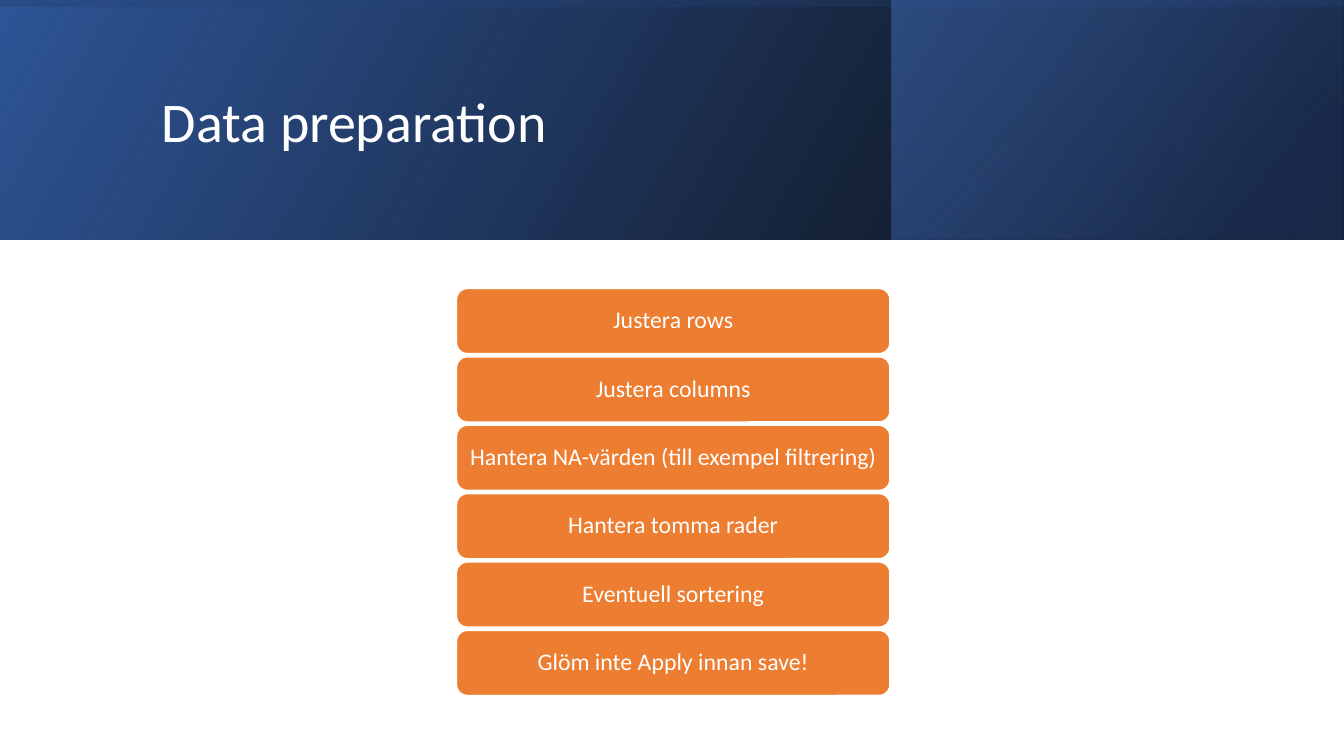
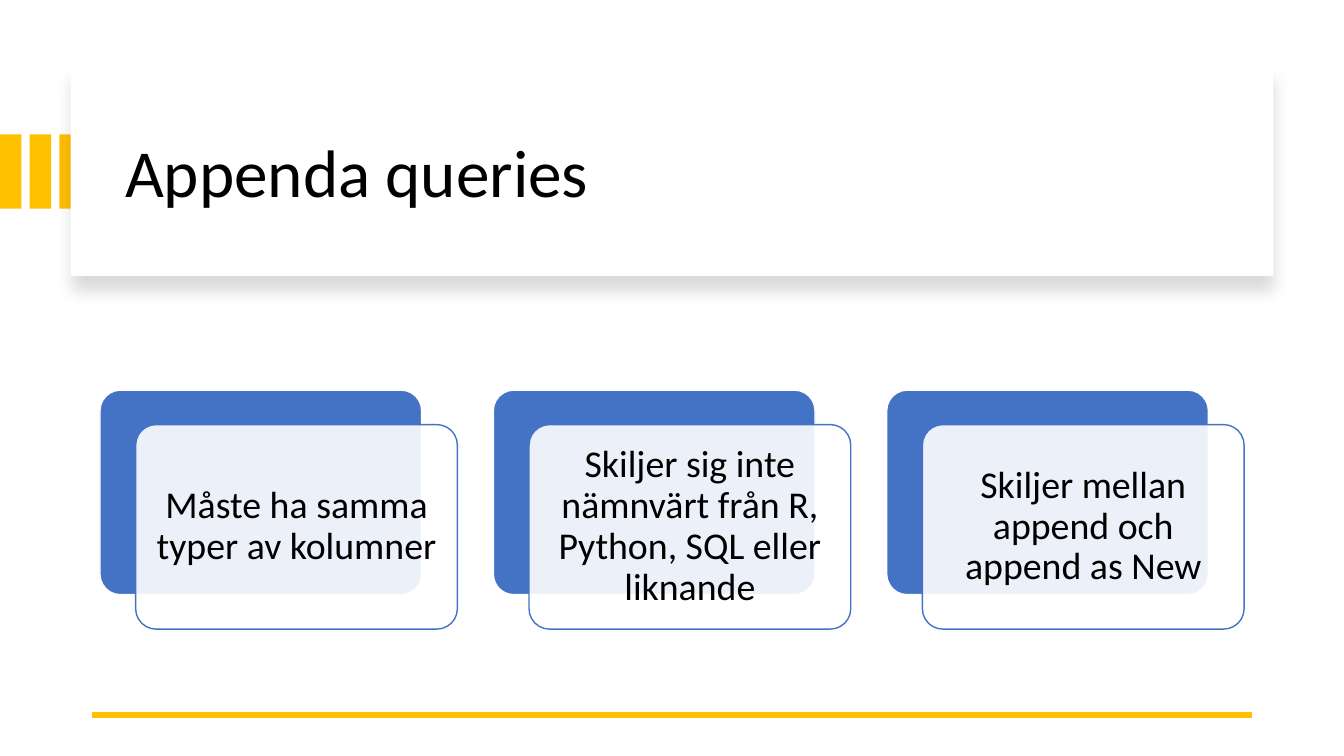
from dataclasses import dataclass

from lxml.etree import SubElement
from pptx import Presentation
from pptx.dml.color import RGBColor
from pptx.enum.shapes import MSO_CONNECTOR as Connector
from pptx.enum.shapes import MSO_SHAPE as Shape
from pptx.enum.text import MSO_ANCHOR as Anchor
from pptx.enum.text import PP_ALIGN as Align
from pptx.oxml.ns import qn
from pptx.util import Inches, Pt

COLUMNS, ROWS = 160, 90
BLANK_LAYOUT = 6


@dataclass(frozen=True)
class Theme:
    font: str = "Calibri"
    white: str = "FFFFFF"
    black: str = "000000"
    navy: str = "203864"
    royal: str = "2F5597"
    blue: str = "4472C4"
    orange: str = "ED7D31"
    gold: str = "FFC000"
    band_title: int = 40
    card_title: int = 48
    step: int = 17
    note: int = 27
    outline: float = 1
    rule: float = 4.5


class Page:
    def __init__(self, deck, theme):
        self.theme = theme
        self.slide = deck.slides.add_slide(deck.slide_layouts[BLANK_LAYOUT])
        self.cell_width = deck.slide_width / COLUMNS
        self.cell_height = deck.slide_height / ROWS

    def place(self, column, row, columns, rows):
        return (
            round(column * self.cell_width),
            round(row * self.cell_height),
            round(columns * self.cell_width),
            round(rows * self.cell_height),
        )

    def panel(self, area, color=None, kind=Shape.RECTANGLE, outline=None, opacity=100, corner=None):
        box = self.slide.shapes.add_shape(kind, *self.place(*area))
        box.shadow.inherit = False
        if corner is not None:
            box.adjustments[0] = corner
        if color:
            box.fill.solid()
            box.fill.fore_color.rgb = RGBColor.from_string(color)
            self.fade(box, [opacity])
        if outline:
            box.line.color.rgb = RGBColor.from_string(outline)
            box.line.width = Pt(self.theme.outline)
        else:
            box.line.fill.background()
        return box

    def fade(self, box, opacities):
        colors = box._element.spPr.iter(qn("a:srgbClr"))
        for color, opacity in zip(colors, opacities):
            if opacity < 100:
                SubElement(color, qn("a:alpha")).set("val", str(opacity * 1000))

    def gradient(self, area, angle, stops, rotation=0):
        box = self.panel(area)
        box.rotation = rotation
        box._element.spPr.find(qn("a:xfrm")).set("flipH", "1")
        box.fill.gradient()
        box.fill.gradient_angle = angle
        for stop, (position, color, _) in zip(box.fill.gradient_stops, stops):
            stop.position = position / 100
            stop.color.rgb = RGBColor.from_string(color)
        self.fade(box, [opacity for _, _, opacity in stops])

    def drop_shadow(self, box, blur, distance, opacity):
        effects = box._element.spPr.find(qn("a:effectLst"))
        shadow = SubElement(effects, qn("a:outerShdw"))
        shadow.set("blurRad", str(Pt(blur)))
        shadow.set("dist", str(Pt(distance)))
        shadow.set("dir", "5400000")
        shadow.set("algn", "t")
        shadow.set("rotWithShape", "0")
        color = SubElement(shadow, qn("a:srgbClr"))
        color.set("val", self.theme.black)
        SubElement(color, qn("a:alpha")).set("val", str(opacity * 1000))

    def label(self, box, text, size, color, align=Align.LEFT, insets=(0.1, 0.05)):
        frame = box.text_frame
        frame.word_wrap = True
        frame.vertical_anchor = Anchor.MIDDLE
        frame.margin_left = frame.margin_right = Inches(insets[0])
        frame.margin_top = frame.margin_bottom = Inches(insets[1])
        frame.text = text
        para = frame.paragraphs[0]
        para.alignment = align
        para.line_spacing = 0.9
        for span in para.runs:
            span.font.name = self.theme.font
            span.font.size = Pt(size)
            span.font.color.rgb = RGBColor.from_string(color)

    def title(self, area, text, size, color):
        box = self.slide.shapes.add_textbox(*self.place(*area))
        self.label(box, text, size, color)

    def step(self, area, text):
        theme = self.theme
        box = self.panel(area, theme.orange, Shape.ROUNDED_RECTANGLE, theme.white)
        self.label(box, text, theme.step, theme.white, Align.CENTER, (0.07, 0.04))

    def note(self, column, row, columns, rows, text):
        theme = self.theme
        rounded = Shape.ROUNDED_RECTANGLE
        self.panel((column, row, columns, rows), theme.blue, rounded, theme.white, corner=0.1)
        front = (column + 4.25, row + 4.1, columns, rows)
        box = self.panel(front, theme.white, rounded, theme.blue, opacity=90, corner=0.1)
        self.label(box, text, theme.note, theme.black, Align.CENTER, (0.11, 0.11))

    def rule(self, start, end, row):
        left, top, right, _ = self.place(start, row, end, 0)
        line = self.slide.shapes.add_connector(Connector.STRAIGHT, left, top, right, top)
        line.line.color.rgb = RGBColor.from_string(self.theme.gold)
        line.line.width = Pt(self.theme.rule)
        SubElement(line._element.spPr, qn("a:effectLst"))


def build_preparation(deck, theme):
    page = Page(deck, theme)
    band = 28.5
    page.gradient((0, 0, COLUMNS, band), 30, [(0, theme.black, 96), (100, theme.royal, 100)])
    page.gradient((106.1, 0, 53.8, band), 40, [(19, theme.navy, 68), (100, theme.blue, 48)])
    upright = ((COLUMNS - band) / 2, (band - COLUMNS) / 2, band, COLUMNS)
    page.gradient(upright, 10, [(23, theme.royal, 16), (99, theme.black, 45)], rotation=270)
    page.title((18.1, 4.5, 127.6, 20.7), "Data preparation", theme.band_title, theme.white)
    steps = [
        "Justera rows",
        "Justera columns",
        "Hantera NA-värden (till exempel filtrering)",
        "Hantera tomma rader",
        "Eventuell sortering",
        "Glöm inte Apply innan save!",
    ]
    for index, text in enumerate(steps):
        page.step((54.35, 34.35 + index * 8.14, 51.6, 7.75), text)


def build_append(deck, theme):
    page = Page(deck, theme)
    for index in range(3):
        page.panel((index * 3.54, 16, 2.55, 8.85), theme.gold)
    card = page.panel((8.4, 8, 143.2, 24.85), theme.white)
    page.drop_shadow(card, blur=11, distance=10, opacity=15)
    page.title((13.7, 10.7, 133.6, 20.4), "Appenda queries", theme.card_title, theme.black)
    page.rule(149, 11, 85.1)
    notes = [
        "Måste ha samma typer av kolumner",
        "Skiljer sig inte nämnvärt från R, Python, SQL eller liknande",
        "Skiljer mellan append och append as New",
    ]
    for index, text in enumerate(notes):
        page.note(11.9 + index * 46.83, 46.45, 38.3, 24.35, text)


def main():
    deck = Presentation()
    deck.slide_width = Inches(40 / 3)
    deck.slide_height = Inches(7.5)
    theme = Theme()
    build_preparation(deck, theme)
    build_append(deck, theme)
    deck.save("out.pptx")


if __name__ == "__main__":
    main()
